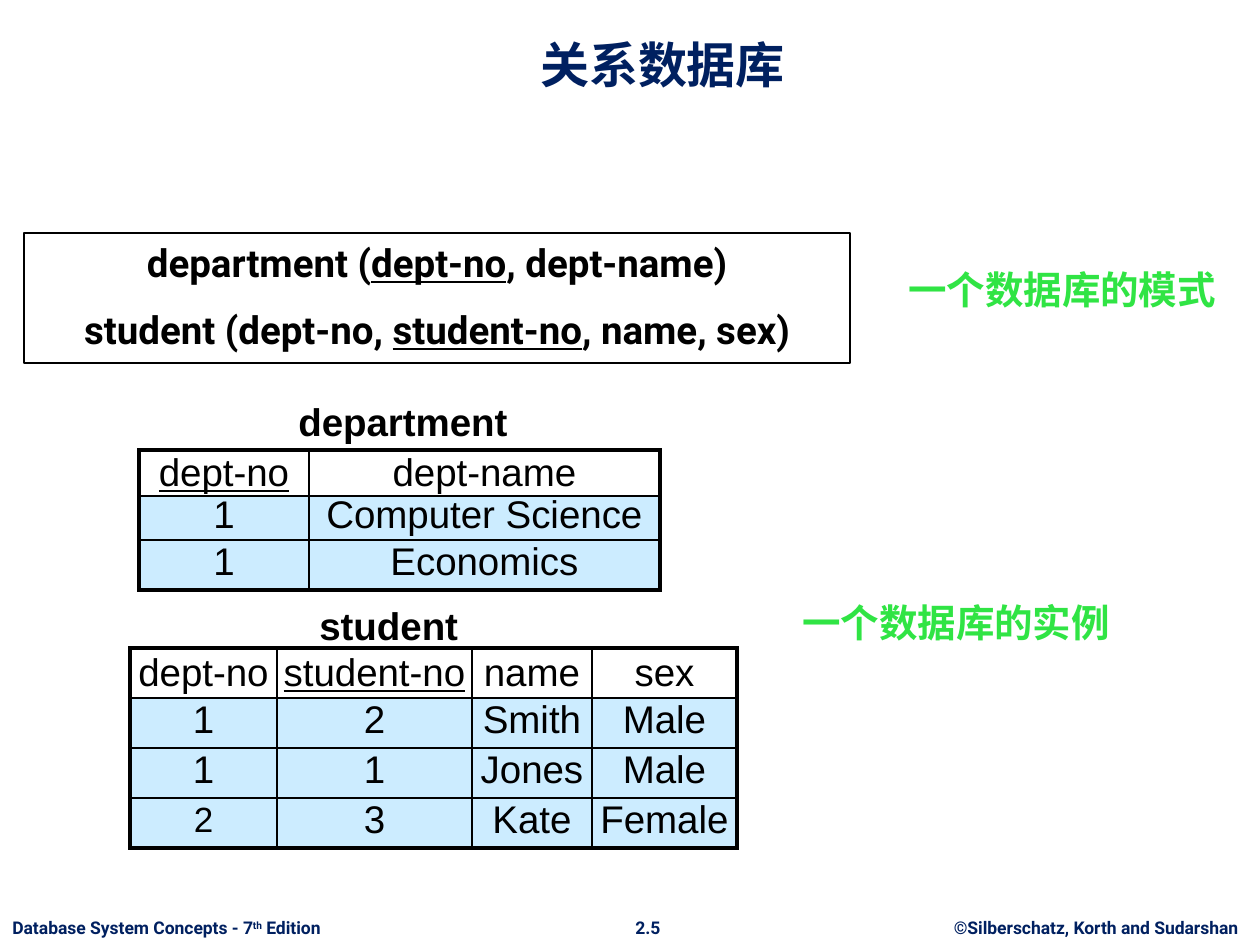
from lxml.etree import SubElement
from pptx import Presentation
from pptx.dml.color import RGBColor
from pptx.enum.shapes import MSO_SHAPE
from pptx.enum.text import MSO_ANCHOR, MSO_AUTO_SIZE, PP_ALIGN
from pptx.oxml.ns import qn
from pptx.util import Emu, Pt

NAVY, BLACK, GREEN, WHITE, SKY = "002060", "000000", "30E444", "FFFFFF", "CCECFF"
CENTER, LEFT = PP_ALIGN.CENTER, PP_ALIGN.LEFT

FOOTER = {"name": "Roboto", "size": Pt(10), "bold": True, "color": NAVY}
TITLE = {**FOOTER, "size": Pt(28)}
SCHEMA = {**FOOTER, "size": Pt(22), "color": BLACK}
CAPTION = {**SCHEMA, "name": "Arial"}
REMARK = {**CAPTION, "color": GREEN}
CELL = {**CAPTION, "bold": False}

LABELS = [
    ((932, 911, 328, 34), ["©Silberschatz, Korth and Sudarshan"], FOOTER, CENTER, False),
    ((617, 911, 62, 34), ["2.5"], FOOTER, CENTER, False),
    ((0, 911, 354, 34), ["Database System Concepts - 7", ("th", "raised"), " Edition"],
     FOOTER, LEFT, False),
    ((106, 16, 1113, 84), ["关系数据库"], TITLE, CENTER, True),
    ((307, 596, 252, 59), ["student"], CAPTION, LEFT, True),
    ((286, 392, 301, 59), ["department"], CAPTION, LEFT, True),
    ((896, 260, 335, 59), ["一个数据库的模式"], REMARK, LEFT, False),
    ((790, 593, 335, 59), ["一个数据库的实例"], REMARK, LEFT, False),
]

SCHEMA_BOX = (24, 233, 826, 130)
SCHEMA_LINES = [
    ["department (", ("dept-no", "key"), ", dept-name)"],
    ["student (dept-no, ", ("student-no", "key"), ", name, sex)"],
]

RELATIONS = [
    {"corner": (130, 648), "widths": [147, 195, 120, 145], "heights": [50] * 4,
     "side_margin": 0, "small": {(3, 0): Pt(20)},
     "rows": [["dept-no", ("student-no", "key"), "name", "sex"],
              ["1", "2", "Smith", "Male"],
              ["1", "1", "Jones", "Male"],
              ["2", "3", "Kate", "Female"]]},
    {"corner": (139, 450), "widths": [170, 351], "heights": [46, 44, 50],
     "side_margin": 5, "small": {},
     "rows": [[("dept-no", "key"), "dept-name"],
              ["1", "Computer Science"],
              ["1", "Economics"]]},
]


def px(length):
    return Emu(round(length * 914400 / 126))


def rgb(color):
    return RGBColor.from_string(color)


def write(paragraph, pieces, look, align):
    paragraph.alignment = align
    for piece in pieces:
        words, mark = piece if isinstance(piece, tuple) else (piece, None)
        run = paragraph.add_run()
        run.text = words
        for field, value in look.items():
            if field == "color":
                run.font.color.rgb = rgb(value)
            else:
                setattr(run.font, field, value)
        if mark == "key":
            run.font.underline = True
        if mark == "raised":
            run.font._element.set("baseline", "30000")


def draw_border(cell, side, points):
    line = SubElement(cell._tc.get_or_add_tcPr(), qn(f"a:ln{side}"), w=str(Pt(points)))
    fill = SubElement(line, qn("a:solidFill"))
    SubElement(fill, qn("a:srgbClr"), val=BLACK)


def draw_relation(slide, relation):
    rows, widths, heights = relation["rows"], relation["widths"], relation["heights"]
    box = (*relation["corner"], sum(widths), sum(heights))
    table = slide.shapes.add_table(len(rows), len(widths), *map(px, box)).table
    table.horz_banding = False
    for column, width in zip(table.columns, widths):
        column.width = px(width)
    for row, height in zip(table.rows, heights):
        row.height = px(height)
    margins = {"margin_left": px(relation["side_margin"]), "margin_top": 0,
               "margin_right": px(relation["side_margin"]), "margin_bottom": 0,
               "vertical_anchor": MSO_ANCHOR.MIDDLE}
    for r, entries in enumerate(rows):
        for c, entry in enumerate(entries):
            cell = table.cell(r, c)
            for field, value in margins.items():
                setattr(cell, field, value)
            outer = {"L": c == 0, "R": c == len(widths) - 1,
                     "T": r == 0, "B": r == len(rows) - 1}
            for side, on_edge in outer.items():
                draw_border(cell, side, 2.25 if on_edge else 1)
            cell.fill.solid()
            cell.fill.fore_color.rgb = rgb(SKY if r else WHITE)
            paragraph = cell.text_frame.paragraphs[0]
            if r:
                paragraph.line_spacing = 0.8
            size = relation["small"].get((r, c), CELL["size"])
            write(paragraph, [entry], {**CELL, "size": size}, CENTER)


deck = Presentation()
deck.slide_width, deck.slide_height = px(1260), px(945)
slide = deck.slides.add_slide(deck.slide_layouts[6])

schema = slide.shapes.add_shape(MSO_SHAPE.RECTANGLE, *map(px, SCHEMA_BOX))
schema.shadow.inherit = False
schema.fill.background()
schema.line.color.rgb = rgb(BLACK)
schema.line.width = Pt(0.75)
schema.text_frame.word_wrap = True
schema.text_frame.auto_size = MSO_AUTO_SIZE.SHAPE_TO_FIT_TEXT
schema.text_frame.vertical_anchor = MSO_ANCHOR.TOP
for index, pieces in enumerate(SCHEMA_LINES):
    frame = schema.text_frame
    paragraph = frame.add_paragraph() if index else frame.paragraphs[0]
    if index:
        paragraph.space_before = Pt(12)
    write(paragraph, pieces, SCHEMA, CENTER)

for relation in RELATIONS:
    draw_relation(slide, relation)

for box, pieces, look, align, wraps in LABELS:
    frame = slide.shapes.add_textbox(*map(px, box)).text_frame
    frame.word_wrap = wraps
    if look is TITLE:
        frame.vertical_anchor = MSO_ANCHOR.BOTTOM
    else:
        frame.auto_size = MSO_AUTO_SIZE.SHAPE_TO_FIT_TEXT
    write(frame.paragraphs[0], pieces, look, align)

deck.save("out.pptx")
